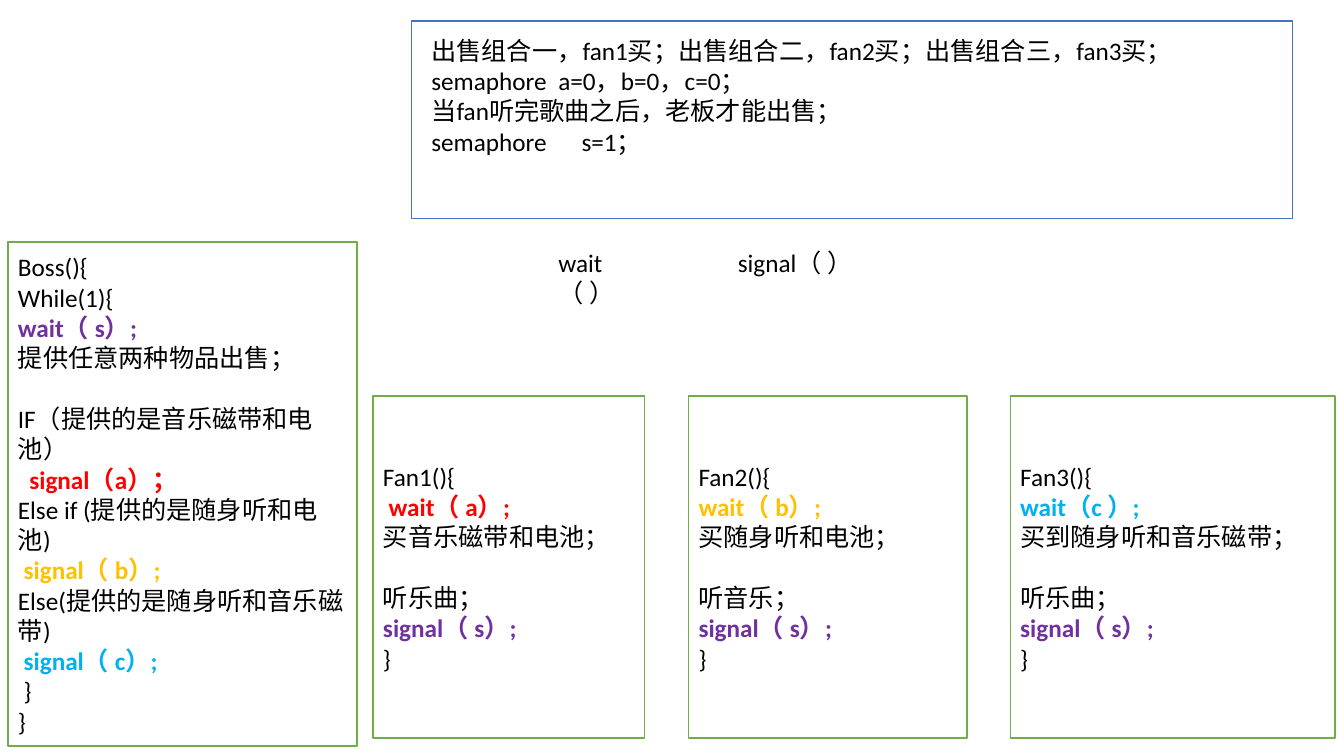
from dataclasses import dataclass

from lxml import etree
from pptx import Presentation
from pptx.dml.color import RGBColor
from pptx.enum import shapes, text
from pptx.oxml.ns import qn
from pptx.util import Inches, Pt


@dataclass(frozen=True)
class Theme:
    font: str = "Calibri"
    size: float = 18
    blank_line: float = 22
    text: str = "000000"
    paper: str = "FFFFFF"
    process: str = "70AD47"
    summary: str = "4472C4"
    a: str = "FF0000"
    b: str = "FFC000"
    c: str = "00B0F0"
    s: str = "7030A0"


THEME = Theme()

# A line is (text, semaphore); a semaphore gives the line its colour and bold.
# SECTION instead of a semaphore sets the line one blank line apart.
SECTION = "section"
BOSS = [
    ("Boss(){", None),
    ("While(1){", None),
    ("wait（ s）;", "s"),
    ("提供任意两种物品出售；", None),
    ("IF（提供的是音乐磁带和电池）", SECTION),
    ("  signal（a）；", "a"),
    ("Else if (提供的是随身听和电池)", None),
    (" signal（ b）;", "b"),
    ("Else(提供的是随身听和音乐磁带)", None),
    (" signal（ c）;", "c"),
    (" }", None),
    ("}", None),
]
# name, wait line, semaphore, purchase, listening, left, width
FANS = [
    ("Fan1", " wait（ a）;", "a", "买音乐磁带和电池；", "听乐曲；", 3.7, 2.69),
    ("Fan2", "wait（ b）;", "b", "买随身听和电池；", "听音乐；", 6.83, 2.76),
    ("Fan3", "wait（c ）;", "c", "买到随身听和音乐磁带；", "听乐曲；", 10.02, 3.22),
]
SUMMARY = [
    ("出售组合一，fan1买；出售组合二，fan2买；出售组合三，fan3买；", None),
    ("semaphore\ta=0，b=0，c=0；", None),
    ("当fan听完歌曲之后，老板才能出售；", None),
    ("semaphore\ts=1；", None),
]
SUMMARY_TABS = {1: 1.26, 3: 1.49}
OPERATIONS = [("wait（ ）", 5.44, 1.04), ("signal（ ）", 7.22, 1.67)]

BOSS_AT = (0.08, 2.4, 3.46, 5)
FAN_TOP, FAN_HEIGHT = 3.93, 3.39
SUMMARY_BOX_AT = (4.08, 0.21, 8.74, 1.96)
SUMMARY_TEXT_AT = (4.18, 0.3, 8.34, 1.31)
OPERATION_TOP, OPERATION_HEIGHT = 2.4, 0.4


def write_lines(frame, lines, tabs=None):
    frame.word_wrap = True
    for number, (line, mark) in enumerate(lines):
        paragraph = frame.paragraphs[0] if number == 0 else frame.add_paragraph()
        paragraph.alignment = text.PP_ALIGN.LEFT
        if mark == SECTION:
            paragraph.space_before = Pt(THEME.blank_line)
        if tabs and number in tabs:
            tab_list = etree.SubElement(paragraph._p.get_or_add_pPr(), qn("a:tabLst"))
            etree.SubElement(tab_list, qn("a:tab"), pos=str(Inches(tabs[number])), algn="l")
        run = paragraph.add_run()
        run.text = line
        semaphore = None if mark == SECTION else mark
        look = {"name": THEME.font, "size": Pt(THEME.size), "bold": semaphore is not None}
        for key, value in look.items():
            setattr(run.font, key, value)
        run.font.color.rgb = RGBColor.from_string(getattr(THEME, semaphore or "text"))


def add_box(slide, at, line_color, lines=()):
    box = slide.shapes.add_shape(shapes.MSO_SHAPE.RECTANGLE, *map(Inches, at))
    box.shadow.inherit = False
    box.fill.solid()
    box.fill.fore_color.rgb = RGBColor.from_string(THEME.paper)
    box.line.color.rgb = RGBColor.from_string(line_color)
    box.line.width = Pt(1)
    box.text_frame.vertical_anchor = text.MSO_ANCHOR.MIDDLE
    write_lines(box.text_frame, lines)


def add_label(slide, at, lines, tabs=None):
    label = slide.shapes.add_textbox(*map(Inches, at))
    label.text_frame.auto_size = text.MSO_AUTO_SIZE.SHAPE_TO_FIT_TEXT
    write_lines(label.text_frame, lines, tabs)


def main():
    deck = Presentation()
    deck.slide_width, deck.slide_height = Inches(13.33), Inches(7.5)
    slide = deck.slides.add_slide(deck.slide_layouts[6])

    add_box(slide, BOSS_AT, THEME.process, BOSS)
    for name, wait, semaphore, purchase, listening, left, width in FANS:
        fan = [
            (f"{name}(){{", None),
            (wait, semaphore),
            (purchase, None),
            (listening, SECTION),
            ("signal（ s）;", "s"),
            ("}", None),
        ]
        add_box(slide, (left, FAN_TOP, width, FAN_HEIGHT), THEME.process, fan)

    add_box(slide, SUMMARY_BOX_AT, THEME.summary)
    add_label(slide, SUMMARY_TEXT_AT, SUMMARY, SUMMARY_TABS)
    for operation, left, width in OPERATIONS:
        add_label(slide, (left, OPERATION_TOP, width, OPERATION_HEIGHT), [(operation, None)])

    deck.save("out.pptx")


if __name__ == "__main__":
    main()
